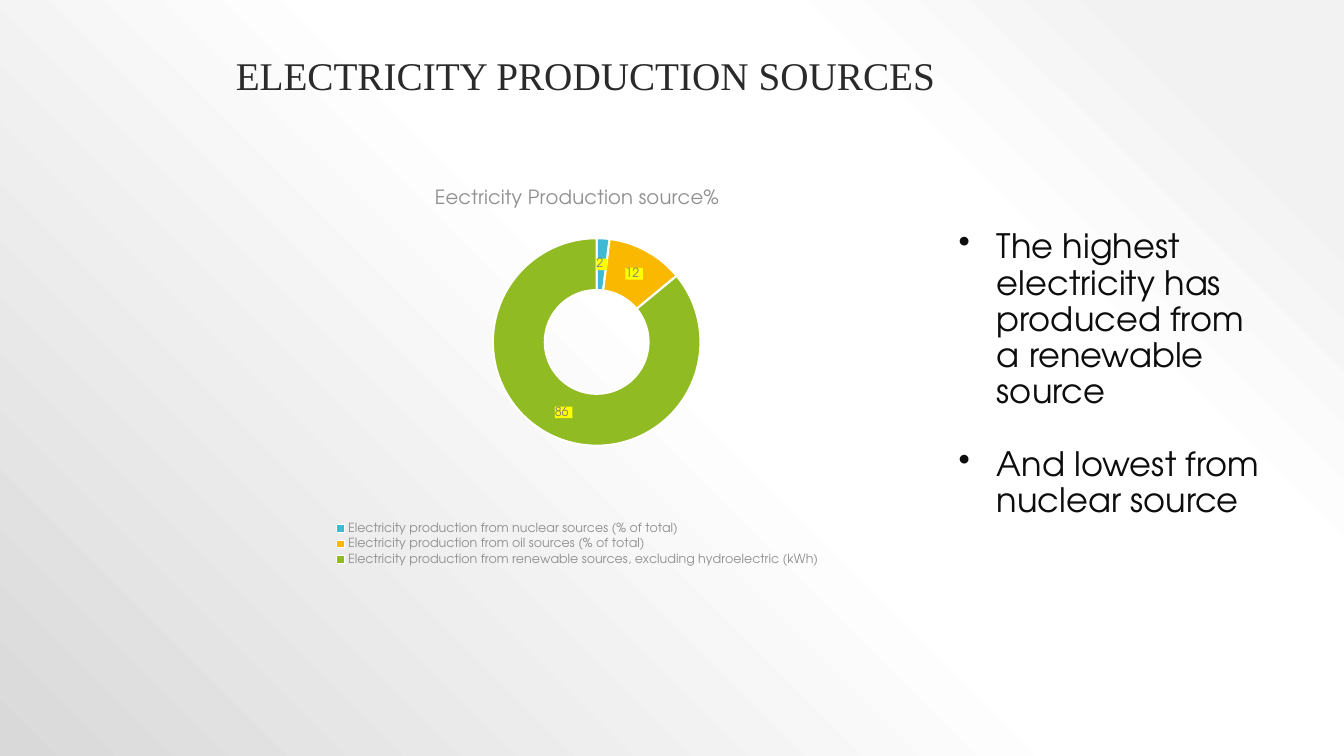
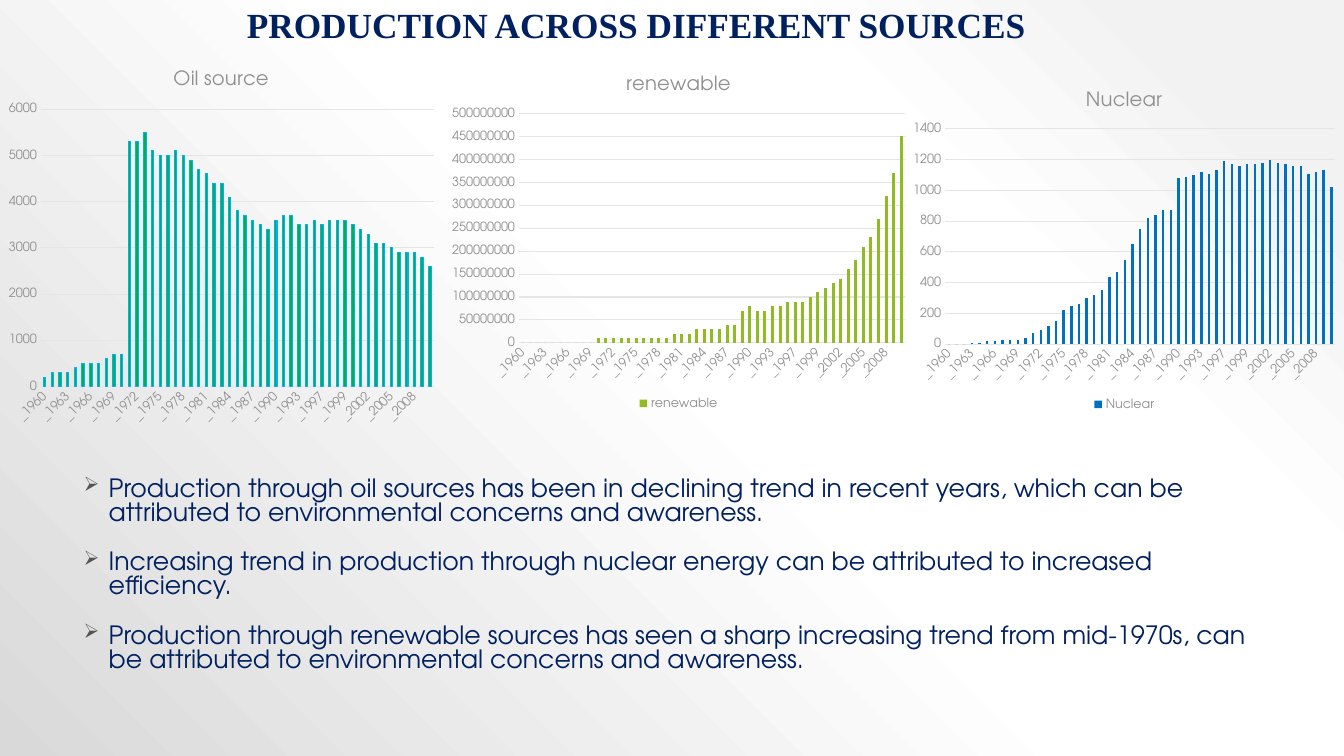
from lxml.etree import SubElement
from pptx import Presentation
from pptx.chart.data import CategoryChartData
from pptx.dml.color import RGBColor
from pptx.enum.chart import XL_CHART_TYPE, XL_LEGEND_POSITION, XL_TICK_MARK
from pptx.enum.text import MSO_ANCHOR
from pptx.oxml.ns import qn
from pptx.util import Inches, Pt

COLORS = {
    "title": "2A2A2A", "navy": "002060", "ink": "0D0D0D", "bullet": "545454",
    "label": "909090", "value": "7F7F7F", "grid": "E5E5E5", "white": "FFFFFF",
    "highlight": "FFFF00", "cyan": "40BAD2", "amber": "FAB900", "lime": "90BB23",
    "green": "00B050", "sky": "00B0F0", "blue": "0070C0",
}
BACKDROP = [(10, "F2F2F2"), (28, "FFFFFF"), (48, "FFFFFF"), (100, "D9D9D9")]
BODY_FONT = "TeX Gyre Adventor"
TITLE_FONT = "Times New Roman"

# Chart data
SHARES = {
    "Electricity production from nuclear sources (% of total)": (2, "cyan"),
    "Electricity production from oil sources (% of total)": (12, "amber"),
    "Electricity production from renewable sources, excluding hydroelectric (kWh)":
        (86, "lime"),
}
YEAR_LABELS = {1994: 1995, 1996: 1997}
YEARS = [f"_{YEAR_LABELS.get(year, year)}" for year in range(1960, 2011)]
OIL = [
    200, 300, 300, 300, 400, 500, 500, 500, 600, 700, 700, 5300, 5300, 5500, 5100,
    5000, 5000, 5100, 5000, 4900, 4700, 4600, 4400, 4400, 4100, 3800, 3700, 3600,
    3500, 3400, 3600, 3700, 3700, 3500, 3500, 3600, 3500, 3600, 3600, 3600, 3500,
    3400, 3300, 3100, 3100, 3000, 2900, 2900, 2900, 2800, 2600]
RENEWABLE_TENS_OF_MILLIONS = [0] * 10 + [1] * 10 + [
    2, 2, 2, 3, 3, 3, 3, 4, 4, 7, 8, 7, 7, 8, 8, 9, 9, 9, 10, 11, 12, 13, 14, 16,
    18, 21, 23, 27, 32, 37, 45]
RENEWABLE = [value * 10_000_000 for value in RENEWABLE_TENS_OF_MILLIONS]
NUCLEAR = [
    0, 0, 0, 10, 10, 20, 20, 30, 30, 30, 40, 70, 90, 120, 150, 220, 250, 260, 300,
    320, 350, 440, 470, 550, 650, 750, 820, 840, 870, 870, 1080, 1090, 1100, 1120,
    1110, 1130, 1190, 1170, 1160, 1170, 1170, 1180, 1200, 1180, 1170, 1160, 1160,
    1110, 1120, 1130, 1020]


def rgb(name):
    return RGBColor.from_string(COLORS[name])


def style_font(font, size, color, name=BODY_FONT, bold=False):
    font.size, font.name, font.bold = Pt(size), name, bold
    font.color.rgb = rgb(color)


def add_solid_fill(parent, color):
    fill = SubElement(parent, qn("a:solidFill"))
    SubElement(fill, qn("a:srgbClr"), val=color)


class DeckBuilder:
    """Holds the shared style and the current slide."""

    def __init__(self):
        self.deck = Presentation()
        self.deck.slide_width, self.deck.slide_height = Inches(13.33), Inches(7.5)
        self.slide = None
        self.set_backdrop()

    def set_backdrop(self):
        master = self.deck.slide_master
        master.background.fill.gradient()
        gradient = master.element.find(".//" + qn("a:gradFill"))
        for child in list(gradient):
            gradient.remove(child)
        stops = SubElement(gradient, qn("a:gsLst"))
        for position, color in BACKDROP:
            stop = SubElement(stops, qn("a:gs"), pos=str(position * 1000))
            SubElement(stop, qn("a:srgbClr"), val=color)
        shading = SubElement(gradient, qn("a:path"), {"path": "circle"})
        SubElement(shading, qn("a:fillToRect"), l="100000", b="100000")

    def add_slide(self):
        self.slide = self.deck.slides.add_slide(self.deck.slide_layouts[6])

    def add_box(self, area):
        frame = self.slide.shapes.add_textbox(*map(Inches, area)).text_frame
        frame.word_wrap = True
        return frame

    def add_title(self, area, text, size, color, bold=False):
        frame = self.add_box(area)
        frame.vertical_anchor = MSO_ANCHOR.BOTTOM
        frame.text = text
        frame.paragraphs[0].line_spacing = 0.9
        style_font(frame.paragraphs[0].runs[0].font, size, color, TITLE_FONT, bold)

    def add_bullets(self, area, items, size, color, mark, indent, spacing, gap,
                    mark_color, mark_percent=100):
        frame = self.add_box(area)
        for index, item in enumerate(items):
            para = frame.paragraphs[0] if index == 0 else frame.add_paragraph()
            para.text = item
            # Bullet mark and hanging indent
            properties = para._p.get_or_add_pPr()
            left, hanging = indent
            properties.set("marL", str(Inches(left)))
            properties.set("indent", str(-Inches(hanging)))
            mark_fill = SubElement(properties, qn("a:buClr"))
            SubElement(mark_fill, qn("a:srgbClr"), val=COLORS[mark_color])
            SubElement(properties, qn("a:buSzPct"), val=str(mark_percent * 1000))
            SubElement(properties, qn("a:buChar"), char=mark)
            para.line_spacing = spacing
            if index:
                para.space_before = Pt(gap)
            style_font(para.runs[0].font, size, color)

    def add_chart(self, kind, area, title, series_name, categories, values, legend):
        data = CategoryChartData()
        data.categories = categories
        data.add_series(series_name, values)
        chart = self.slide.shapes.add_chart(
            kind, *map(Inches, area), data).chart
        style_font(chart.font, 10, "bullet")
        chart.has_title = True
        chart.chart_title.text_frame.text = title
        span = chart.chart_title.text_frame.paragraphs[0].runs[0]
        style_font(span.font, 14, "label")
        chart.has_legend = legend
        if legend:
            chart.legend.position = XL_LEGEND_POSITION.BOTTOM
            chart.legend.include_in_layout = False
            style_font(chart.legend.font, 9, "label")
        return chart

    def add_doughnut(self, area, title, shares, plot_area):
        values = [value for value, _ in shares.values()]
        chart = self.add_chart(XL_CHART_TYPE.DOUGHNUT, area, title, "Series 1",
                               list(shares), values, True)
        plot = chart.plots[0]
        for index, (_, color) in enumerate(shares.values()):
            piece = plot.series[0].points[index].format
            piece.fill.solid()
            piece.fill.fore_color.rgb = rgb(color)
            piece.line.color.rgb = rgb("white")
            piece.line.width = Pt(1.5)
        # Highlighted value labels
        labels = plot.series[0].data_labels
        labels.show_value = True
        labels.show_percentage = False
        labels.number_format = r"#,##0_);\(#,##0\)"
        labels.number_format_is_linked = False
        style_font(labels.font, 9, "value")
        text_properties = labels._element.find(qn("c:txPr"))
        highlight = SubElement(labels._element, qn("c:spPr"))
        add_solid_fill(highlight, COLORS["highlight"])
        text_properties.addprevious(highlight)
        # Fixed place of the ring
        plot_element = chart._chartSpace.find(".//" + qn("c:plotArea"))
        for old in plot_element.findall(qn("c:layout")):
            plot_element.remove(old)
        layout = SubElement(plot_element, qn("c:layout"))
        plot_element.insert(0, layout)
        manual = SubElement(layout, qn("c:manualLayout"))
        settings = [("layoutTarget", "inner"), ("xMode", "edge"), ("yMode", "edge")]
        settings += zip("xywh", map(str, plot_area))
        for tag, value in settings:
            SubElement(manual, qn(f"c:{tag}"), val=value)

    def add_columns(self, area, name, values, color, top, step, gap=219, overlap=-27,
                    kind=XL_CHART_TYPE.COLUMN_CLUSTERED, outline=None, legend=True):
        chart = self.add_chart(kind, area, name, name, YEARS, values, legend)
        plot = chart.plots[0]
        plot.vary_by_categories = False
        plot.gap_width, plot.overlap = gap, overlap
        bars = plot.series[0].format
        bars.fill.solid()
        bars.fill.fore_color.rgb = rgb(color)
        if outline:
            bars.line.color.rgb = rgb(outline)
            bars.line.width = Pt(0.75)
        # Axes
        years, amounts = chart.category_axis, chart.value_axis
        for axis in (years, amounts):
            axis.major_tick_mark = axis.minor_tick_mark = XL_TICK_MARK.NONE
            style_font(axis.tick_labels.font, 9, "label")
        years._element.find(qn("c:txPr")).find(qn("a:bodyPr")).set("rot", "-2700000")
        amounts.minimum_scale, amounts.maximum_scale = 0, top
        amounts.major_unit = step
        amounts.format.line.fill.background()
        for line in (years.format.line, amounts.major_gridlines.format.line):
            line.color.rgb = rgb("grid")
            line.width = Pt(0.75)


def main():
    builder = DeckBuilder()

    # Shares of each source
    builder.add_slide()
    builder.add_title((2.24, 0.41, 7.92, 0.62), "ELECTRICITY PRODUCTION SOURCES",
                      28, "title")
    builder.add_doughnut((2.5, 1.69, 6.45, 3.96), "Eectricity Production source%",
                         SHARES, (0.06, 0.17, 0.94, 0.52))
    builder.add_bullets(
        (9.41, 2.23, 3.32, 3.01),
        ["The highest electricity has produced from a renewable source",
         "And lowest from nuclear source"],
        24, "ink", "•", (0.38, 0.38), 0.9, 26, "ink")

    # Production over the years
    builder.add_slide()
    builder.add_title((2.35, -0.03, 8.63, 0.54), "PRODUCTION ACROSS DIFFERENT SOURCES",
                      25.2, "navy", bold=True)
    builder.add_bullets(
        (0.68, 4.69, 12.05, 2.13),
        ["Production through oil sources has been in declining trend in recent years, "
         "which can be attributed to environmental concerns and awareness.",
         "Increasing trend in production through nuclear energy can be attributed to "
         "increased efficiency.",
         "Production through renewable sources has seen a sharp increasing trend from "
         "mid-1970s, can be attributed to environmental concerns and awareness."],
        18, "navy", "➢", (0.3, 0.25), 0.8, 18, "bullet", 80)
    builder.add_columns((0, 0.52, 4.39, 3.75), "Oil source", OIL, "green",
                        6000, 1000, outline="sky", legend=False)
    builder.add_columns((4.39, 0.57, 4.68, 3.53), "renewable", RENEWABLE, "lime",
                        500_000_000, 50_000_000, gap=150, overlap=100,
                        kind=XL_CHART_TYPE.COLUMN_STACKED)
    builder.add_columns((8.97, 0.73, 4.36, 3.38), "Nuclear", NUCLEAR, "blue",
                        1400, 200)

    builder.deck.save("out.pptx")


if __name__ == "__main__":
    main()
